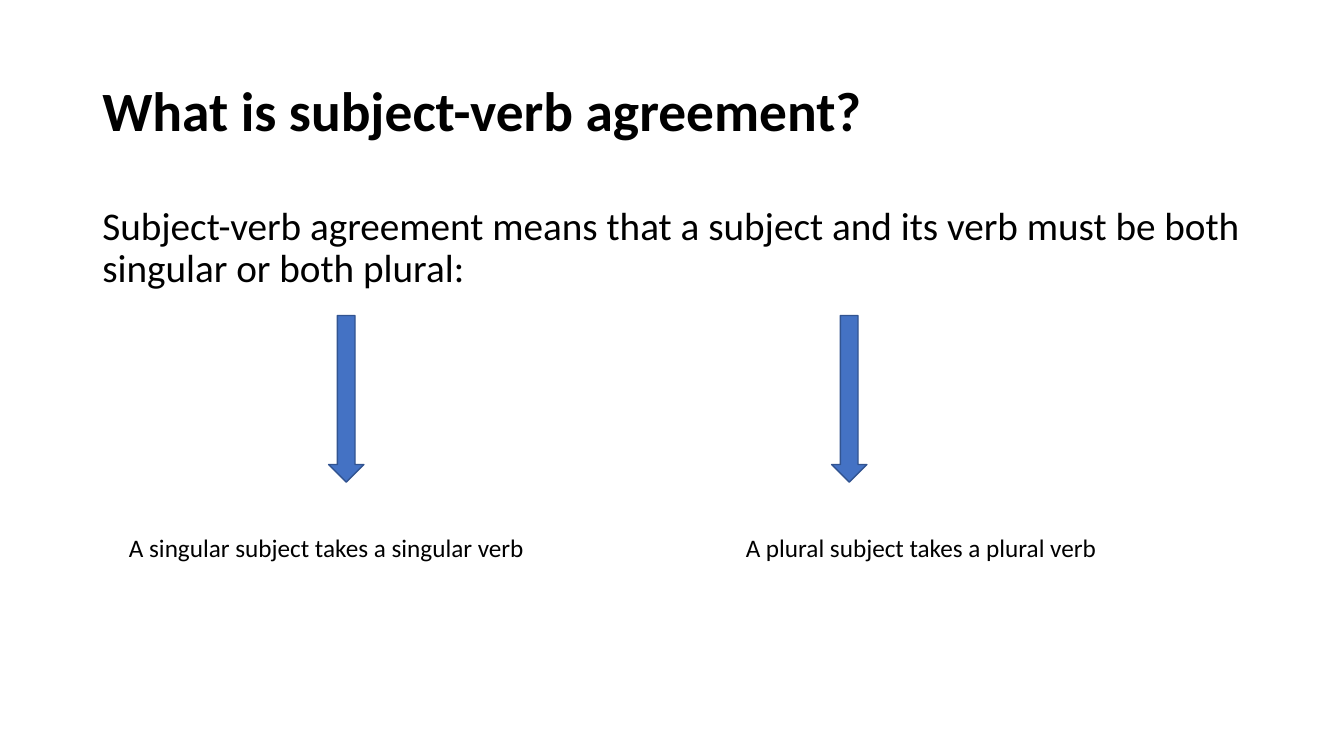
"""Build the subject-verb agreement slide."""
from pptx import Presentation
from pptx.dml.color import RGBColor
from pptx.enum.shapes import MSO_SHAPE
from pptx.enum.text import MSO_ANCHOR
from pptx.util import Pt

TITLE = "What is subject-verb agreement?"
DEFINITION = "Subject-verb agreement means that a subject and its verb must be both singular or both plural:"
RULES = [
    {"text": "A singular subject takes a singular verb", "left": 85, "width": 299.5, "arrow_left": 234.7},
    {"text": "A plural subject takes a plural verb", "left": 525.6, "width": 267.8, "arrow_left": 594},
]
MARGIN, CONTENT_WIDTH = 66, 828
ARROW_TOP, ARROW_WIDTH, ARROW_HEIGHT = 225.4, 25.2, 119
RULE_TOP, RULE_HEIGHT = 376.6, 29


def rgb(value):
    return RGBColor.from_string(value)


def add_text(slide, text, box, size, bold=False, spacing=1.0, anchor=MSO_ANCHOR.TOP, wrap=True):
    frame = slide.shapes.add_textbox(*map(Pt, box)).text_frame
    frame.word_wrap = wrap
    frame.vertical_anchor = anchor
    paragraph = frame.paragraphs[0]
    paragraph.line_spacing = spacing
    run = paragraph.add_run()
    run.text = text
    run.font.name = "Calibri"
    run.font.size = Pt(size)
    run.font.bold = bold
    run.font.color.rgb = rgb("000000")


def add_down_arrow(slide, left):
    arrow = slide.shapes.add_shape(
        MSO_SHAPE.DOWN_ARROW, Pt(left), Pt(ARROW_TOP), Pt(ARROW_WIDTH), Pt(ARROW_HEIGHT))
    arrow.shadow.inherit = False
    arrow.fill.solid()
    arrow.fill.fore_color.rgb = rgb("4472C4")
    arrow.line.color.rgb = rgb("325491")
    arrow.line.width = Pt(1)


prs = Presentation()
prs.slide_width, prs.slide_height = Pt(960), Pt(540)
slide = prs.slides.add_slide(prs.slide_layouts[6])

add_text(slide, TITLE, (MARGIN, 28.8, CONTENT_WIDTH, 104.4), 39.6,
         bold=True, spacing=0.9, anchor=MSO_ANCHOR.MIDDLE)
add_text(slide, DEFINITION, (MARGIN, 144, CONTENT_WIDTH, 81.4), 28, spacing=0.9)
for rule in RULES:
    add_down_arrow(slide, rule["arrow_left"])
    add_text(slide, rule["text"], (rule["left"], RULE_TOP, rule["width"], RULE_HEIGHT), 18, wrap=False)

prs.save("out.pptx")
